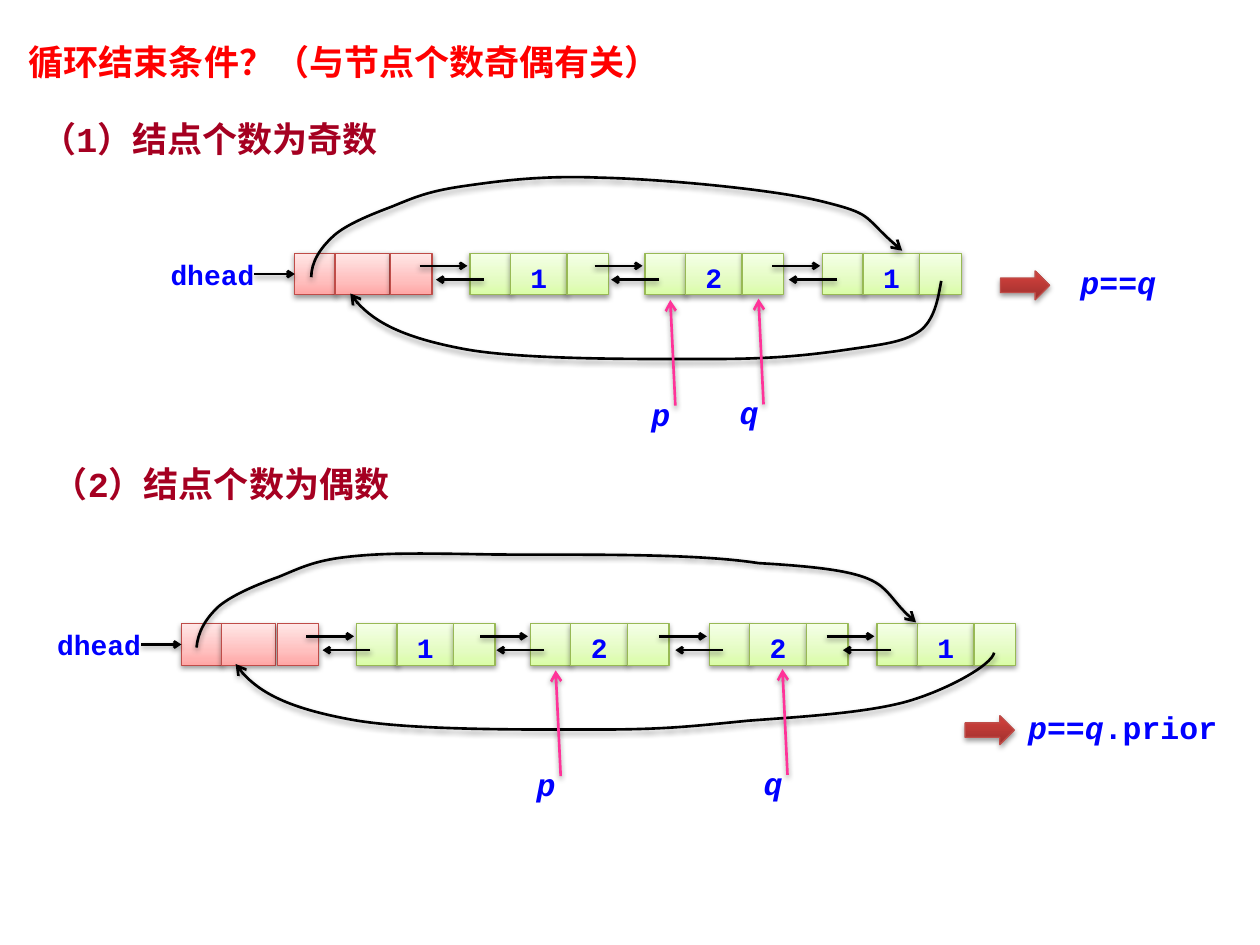
from copy import deepcopy

from lxml import etree
from pptx import Presentation
from pptx import util as u
from pptx.dml.color import RGBColor
from pptx.enum import shapes, text
from pptx.oxml.ns import qn

RED = [(0, "FFA6A5"), (0.35, "FFC0BF"), (1, "FFE7E7")]
GREEN = [(0, "DAFDA7"), (0.35, "E4FCC2"), (1, "F5FFE7")]
DARK_RED = [(0, "9C2F2D"), (0.8, "CB3E3A"), (1, "CE3B37")]
RED_EDGE, GREEN_EDGE = "BF4C48", "98B955"
BLACK, BLUE, PINK, MAROON = "000000", "0000FF", "FF3399", "A50021"
CELL_W, CELL_H = 0.33, 0.33
HEAD_CELLS = [(0, CELL_W), (0.32, 0.43), (0.76, CELL_W)]
NODE_CELLS = [(0, CELL_W), (0.32, 0.45), (0.77, CELL_W)]


def rgb(value):
    return RGBColor.from_string(value)


def inches(*values):
    return [u.Inches(value) for value in values]


class Sketch:
    mono, cjk = "Courier New", "Noto Sans CJK SC"

    def __init__(self, page):
        self.page = page
        self.shapes = page.shapes

    def start_group(self):
        self.shapes = self.page.shapes.add_group_shape().shapes

    def end_group(self):
        self.shapes = self.page.shapes

    def span(self, para, words, size, color, italic=False, font=None):
        span = para.add_run()
        span.text = words
        span.font.size = u.Pt(size)
        span.font.bold = True
        span.font.italic = italic
        span.font.name = font or self.mono
        span.font.color.rgb = rgb(color)
        etree.SubElement(span.font._element, qn("a:ea"), typeface=self.cjk)

    def shadow(self, item):
        props = item._element.spPr
        effects = props.find(qn("a:effectLst"))
        if effects is None:
            effects = etree.SubElement(props, qn("a:effectLst"))
        outer = etree.SubElement(effects, qn("a:outerShdw"), blurRad=str(u.Pt(3.1)),
                                 dist=str(u.Pt(1.6)), dir="5400000", rotWithShape="0")
        color = etree.SubElement(outer, qn("a:srgbClr"), val=BLACK)
        etree.SubElement(color, qn("a:alpha"), val="38000")

    def stroke(self, item, color, end, size="med"):
        item.line.color.rgb = rgb(color)
        item.line.width = u.Pt(1.5)
        etree.SubElement(item.line._get_or_add_ln(), qn(f"a:{end}"),
                         type="arrow", w=size, len=size)

    def gradient(self, fill, stops):
        fill.gradient()
        fill.gradient_angle = 90
        stop_list = fill._fill._gradFill.find(qn("a:gsLst"))
        stop_list.append(deepcopy(stop_list[-1]))
        for stop, (position, color) in zip(fill.gradient_stops, stops):
            stop.position = position
            stop.color.rgb = rgb(color)

    def solid(self, x, y, w, h, stops, edge, kind=shapes.MSO_SHAPE.RECTANGLE):
        box = self.shapes.add_shape(kind, *inches(x, y, w, h))
        box.shadow.inherit = False
        self.gradient(box.fill, stops)
        box.line.color.rgb = rgb(edge)
        box.line.width = u.Pt(0.75)
        self.shadow(box)
        return box

    def caption(self, box, words, left, spacing=None):
        frame = box.text_frame
        frame.margin_left, frame.margin_right = inches(left, 0.1)
        frame.margin_top = frame.margin_bottom = 0
        frame.vertical_anchor = text.MSO_ANCHOR.MIDDLE
        para = frame.paragraphs[0]
        para.alignment = text.PP_ALIGN.CENTER
        para.line_spacing = spacing
        self.span(para, words, 16, BLUE)

    def label(self, x, y, w, h, spans, size=18, color=BLUE, font=None,
              align=text.PP_ALIGN.CENTER, spacing=None):
        frame = self.shapes.add_textbox(*inches(x, y, w, h)).text_frame
        frame.word_wrap = True
        frame.auto_size = text.MSO_AUTO_SIZE.SHAPE_TO_FIT_TEXT
        para = frame.paragraphs[0]
        para.alignment = align
        para.line_spacing = spacing
        for words, italic in spans:
            self.span(para, words, size, color, italic, font)

    def heading(self, x, y, w, words, color=MAROON, font=None):
        self.label(x, y, w, 0.44, [(words, False)], 20, color, font, text.PP_ALIGN.LEFT)

    def arrow(self, x1, y1, x2, y2, color=BLACK, end="tailEnd", size="sm", target=None):
        line = self.shapes.add_connector(shapes.MSO_CONNECTOR.STRAIGHT,
                                         *inches(x1, y1, x2, y2))
        if target is not None:
            line.end_connect(target, 1)
        self.stroke(line, color, end, size)
        self.shadow(line)

    def curve(self, points):
        start, *rest = [inches(*point) for point in points]
        builder = self.shapes.build_freeform(*start)
        builder.add_line_segments(rest, close=False)
        shape = builder.convert_to_shape()
        shape.shadow.inherit = False
        shape.fill.background()
        self.stroke(shape, BLACK, "tailEnd")
        self.shadow(shape)
        outline = next(shape._element.iter(qn("a:path")))
        segments = outline.findall(qn("a:lnTo"))
        for index in range(0, len(segments), 3):
            bezier = etree.SubElement(outline, qn("a:cubicBezTo"))
            for segment in segments[index:index + 3]:
                bezier.append(segment[0])
                outline.remove(segment)

    def head(self, x, y):
        name = self.shapes.add_shape(shapes.MSO_SHAPE.RECTANGLE,
                                     *inches(x - 1.04, y, 0.85, CELL_H))
        name.shadow.inherit = False
        name.fill.solid()
        name.fill.fore_color.rgb = rgb("FFFFFF")
        name.line.fill.background()
        self.caption(name, "dhead", 0.02)
        cells = [self.solid(x + dx, y, w, CELL_H, RED, RED_EDGE) for dx, w in HEAD_CELLS]
        middle = y + CELL_H / 2
        self.arrow(x - 0.32, middle, x, middle, target=cells[0])

    def node(self, x, y, value):
        cells = [self.solid(x + dx, y, w, CELL_H, GREEN, GREEN_EDGE) for dx, w in NODE_CELLS]
        self.caption(cells[1], value, 0.1, u.Pt(23))

    def links(self, x, y):
        self.arrow(x - 0.4, y + 0.1, x - 0.02, y + 0.1)
        self.arrow(x + 0.11, y + 0.21, x - 0.27, y + 0.21)

    def pointer(self, name, x, y):
        self.label(x - 0.35, y + 0.76, 0.55, 0.35, [(name, True)], spacing=0.8)
        self.arrow(x, y, x + 0.04, y + 0.84, PINK, "headEnd", "med")

    def linked_list(self, x, y, nodes, curves, pointers, result, result_at, result_w):
        self.start_group()
        self.head(x, y)
        for node_x, value in nodes:
            self.node(node_x, y, value)
        for node_x, _ in nodes:
            self.links(node_x, y)
        for points in curves:
            self.curve(points)
        for name, tip_x, tip_y in pointers:
            self.pointer(name, tip_x, tip_y)
        left, top = result_at
        self.solid(left, top, 0.39, 0.23, DARK_RED, RED_EDGE, shapes.MSO_SHAPE.RIGHT_ARROW)
        self.label(left + 0.39, top - 0.11, result_w, 0.4, result)
        self.end_group()


ODD_CURVES = [
    [(7.47, 2.23), (7.45, 2.33), (7.43, 2.52), (7.31, 2.62), (7.19, 2.71), (7.04, 2.73),
     (6.76, 2.77), (6.49, 2.81), (6.18, 2.85), (5.67, 2.85), (5.16, 2.85), (4.16, 2.86),
     (3.68, 2.77), (3.2, 2.68), (2.9, 2.52), (2.78, 2.33)],
    [(2.47, 2.2), (2.47, 2.08), (2.54, 1.97), (2.65, 1.87), (2.75, 1.78), (2.95, 1.7),
     (3.11, 1.64), (3.28, 1.57), (3.39, 1.52), (3.66, 1.48), (3.94, 1.44), (4.28, 1.39),
     (4.76, 1.41), (5.23, 1.42), (6.13, 1.5), (6.53, 1.6), (6.93, 1.7), (6.83, 1.71),
     (7.16, 1.99)],
]
EVEN_CURVES = [
    [(1.56, 5.14), (1.57, 5.02), (1.63, 4.91), (1.74, 4.81), (1.85, 4.72), (2.04, 4.64),
     (2.21, 4.58), (2.38, 4.51), (2.49, 4.45), (2.76, 4.42), (3.03, 4.39), (3.28, 4.39),
     (3.83, 4.4), (4.37, 4.41), (5.45, 4.38), (6.02, 4.47), (7.09, 4.53), (6.94, 4.66),
     (7.27, 4.94)],
    [(7.89, 5.18), (7.87, 5.28), (7.51, 5.48), (7.19, 5.57), (6.86, 5.66), (6.34, 5.69),
     (5.94, 5.72), (5.53, 5.76), (5.29, 5.79), (4.77, 5.79), (4.24, 5.79), (3.26, 5.8),
     (2.78, 5.71), (2.29, 5.62), (1.99, 5.46), (1.87, 5.27)],
]


def main():
    deck = Presentation()
    deck.slide_width, deck.slide_height = inches(10, 7.5)
    sketch = Sketch(deck.slides.add_slide(deck.slide_layouts[6]))
    sketch.heading(0.13, 0.27, 6.11, "循环结束条件？（与节点个数奇偶有关）", "FF0000", sketch.cjk)
    sketch.heading(0.23, 0.88, 2.89, "（1）结点个数为奇数")
    equal = [("p", True), ("==", False), ("q", True)]
    sketch.linked_list(2.34, 2.01, [(3.73, "1"), (5.12, "2"), (6.53, "1")], ODD_CURVES,
                       [("p", 5.32, 2.38), ("q", 6.02, 2.37)], equal, (7.94, 2.15), 1.09)
    sketch.linked_list(1.44, 4.95, [(2.83, "1"), (4.21, "2"), (5.63, "2"), (6.96, "1")],
                       EVEN_CURVES, [("p", 4.41, 5.32), ("q", 6.21, 5.31)],
                       equal + [(".prior", False)], (7.66, 5.68), 1.72)
    sketch.heading(0.32, 3.62, 2.89, "（2）结点个数为偶数")
    deck.save("out.pptx")


if __name__ == "__main__":
    main()
